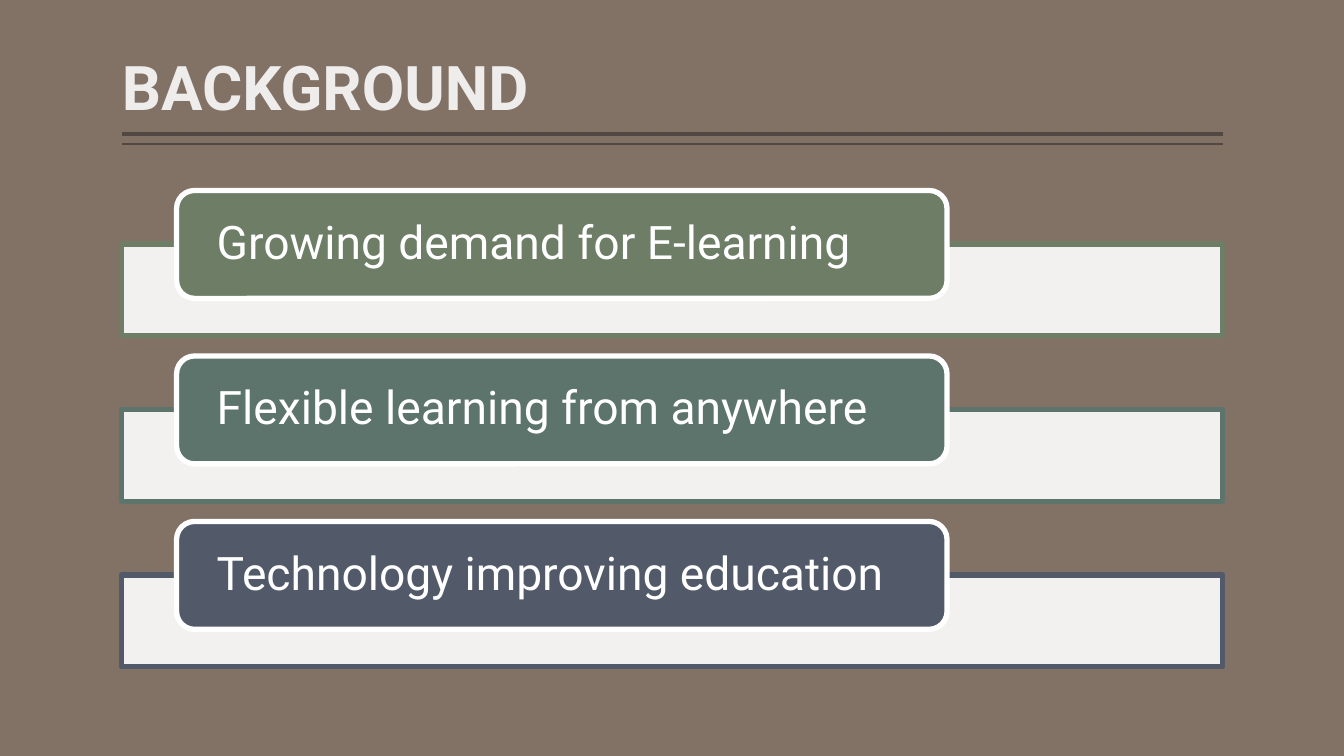
from pptx import Presentation
from pptx.dml.color import RGBColor
from pptx.enum.shapes import MSO_CONNECTOR as Link, MSO_SHAPE as Kind
from pptx.enum.text import MSO_ANCHOR as Anchor, MSO_AUTO_SIZE as Fit, PP_ALIGN as Align
from pptx.oxml.ns import qn
from pptx.util import Cm, Pt
from lxml.etree import SubElement

WHITE = "FFFFFF"
TOPICS = [
    ("Growing demand for E-learning", "6D7D66"),
    ("Flexible learning from anywhere", "5C746C"),
    ("Technology improving education", "525A6A"),
]


def tint(part, color):
    """Give a fill, line or font a hex colour."""
    if hasattr(part, "solid"):
        part.solid()
        part = part.fore_color
    else:
        part = part.color
    part.rgb = RGBColor.from_string(color)


def style(item, values):
    for name, value in values.items():
        setattr(item, name, value)


def write(shape, text, color, frame, font):
    body = shape.text_frame
    body.text = text
    style(body, {"word_wrap": True, "auto_size": Fit.NONE, **frame})
    para = body.paragraphs[0]
    style(para, {"alignment": Align.LEFT, "line_spacing": 0.9})
    run = para.runs[0]
    style(run.font, {"name": "Roboto", **font})
    tint(run.font, color)


def panel(slide, kind, box, fill, edge):
    shape = slide.shapes.add_shape(kind, *map(Cm, box))
    shape.shadow.inherit = False
    tint(shape.fill, fill)
    tint(shape.line, edge)
    shape.line.width = Pt(3.78)
    return shape


def header(slide, left, top, width, height):
    # Title
    title = slide.shapes.title
    style(title, {"left": Cm(left), "top": Cm(top),
                  "width": Cm(width), "height": Cm(height)})
    write(title, "BACKGROUND", "EEEDEC",
          {"vertical_anchor": Anchor.BOTTOM, "margin_left": 0, "margin_right": 0},
          {"size": Pt(44), "bold": True})

    # Double rule under the title
    for gap, weight in ((0.13, 3), (0.38, 1)):
        y = Cm(top + height + gap)
        rule = slide.shapes.add_connector(
            Link.STRAIGHT, Cm(left + width), y, Cm(left), y)
        tint(rule.line, "514843")
        rule.line.width = Pt(weight)
        SubElement(rule._element.spPr, qn("a:effectLst"))


def topic(slide, left, top, width, text, color):
    # Pale bar behind the label
    bar = panel(slide, Kind.RECTANGLE, (left, top + 1.35, width, 2.31), WHITE, color)
    shade = bar._element.spPr.find(qn("a:solidFill"))[0]
    SubElement(shade, qn("a:alpha"), val="90000")

    # Rounded label
    label = panel(slide, Kind.ROUNDED_RECTANGLE,
                  (left + 1.38, top, width * 0.7, 2.72), color, WHITE)
    write(label, text, WHITE,
          {"vertical_anchor": Anchor.MIDDLE, "margin_left": Cm(0.88),
           "margin_right": Cm(0.88), "margin_top": 0, "margin_bottom": 0},
          {"size": Pt(33)})


def topics(slide, left, top, width, pitch):
    for row, (text, color) in enumerate(TOPICS):
        topic(slide, left, top + row * pitch, width, text, color)


def main():
    deck = Presentation()
    style(deck, {"slide_width": Cm(33.87), "slide_height": Cm(19.05)})
    slide = deck.slides.add_slide(deck.slide_layouts[5])
    tint(slide.background.fill, "827266")
    header(slide, 3.07, 0.2, 27.74, 3.05)
    topics(slide, 3.07, 4.8, 27.74, 4.17)
    deck.save("out.pptx")


if __name__ == "__main__":
    main()
